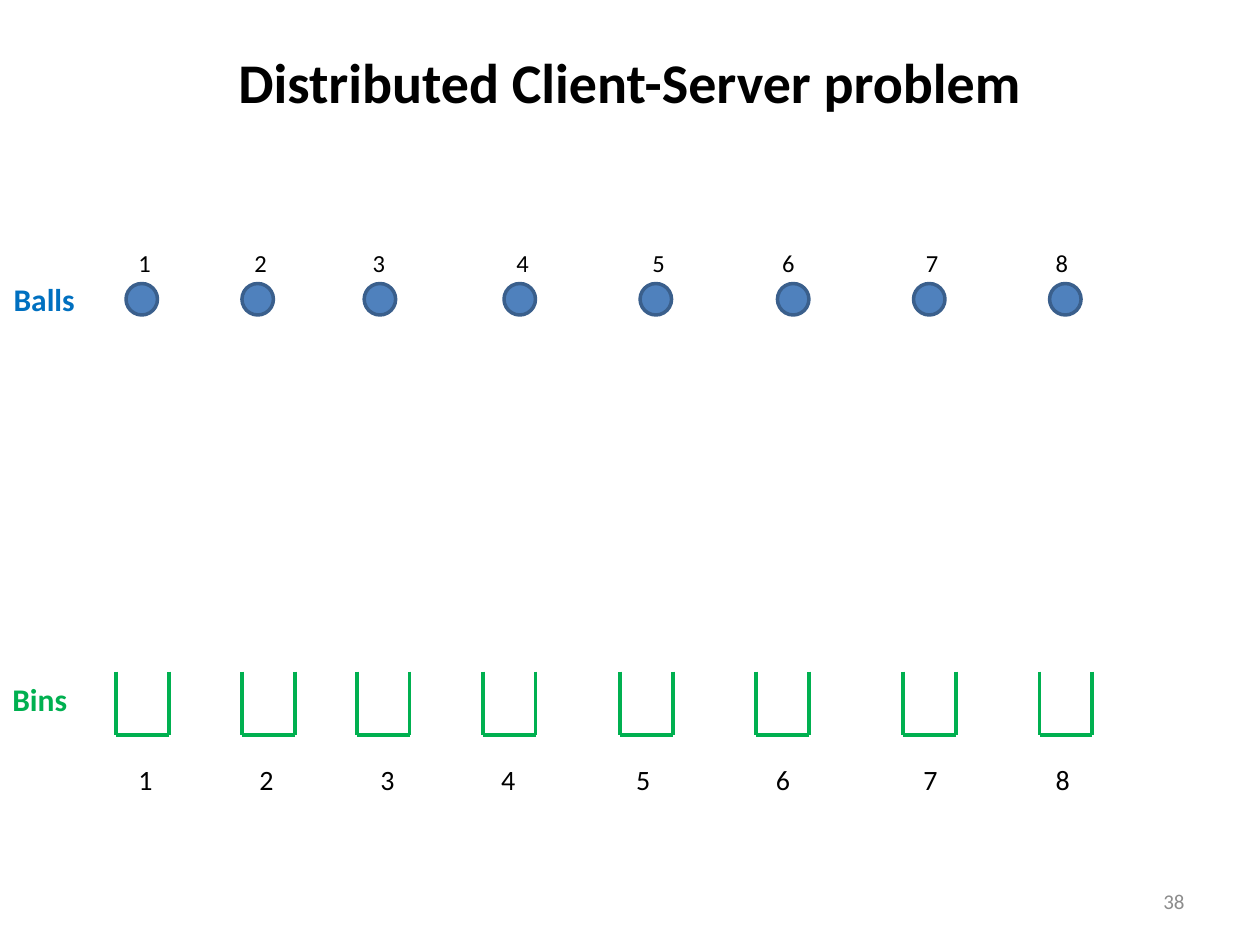
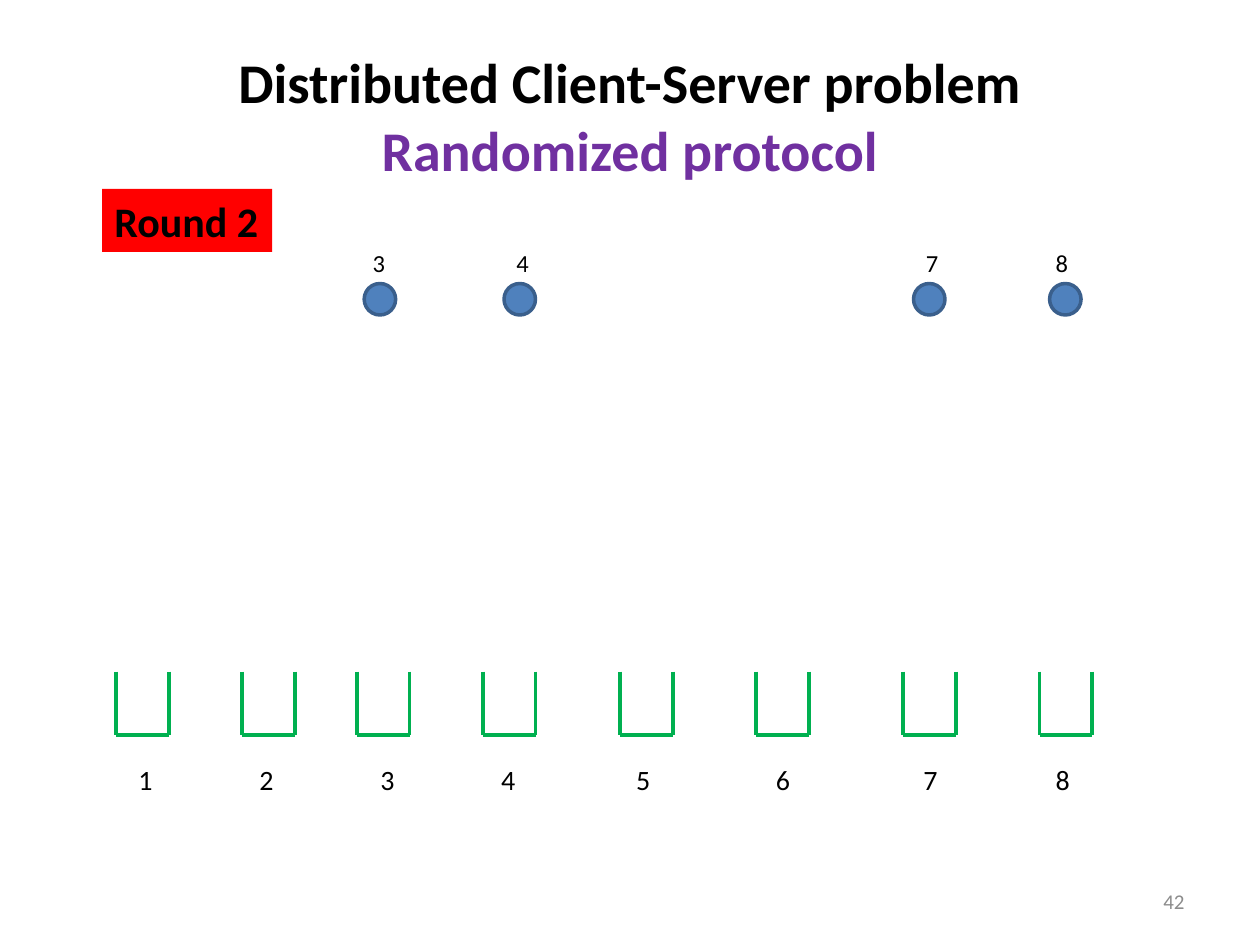
from lxml import etree
from pptx import Presentation
from pptx.dml.color import RGBColor
from pptx.enum.shapes import MSO_CONNECTOR, MSO_SHAPE
from pptx.enum.text import MSO_ANCHOR, PP_ALIGN
from pptx.oxml.ns import qn
from pptx.util import Inches, Pt

LEFT, CENTER, RIGHT = PP_ALIGN.LEFT, PP_ALIGN.CENTER, PP_ALIGN.RIGHT
TOP, MIDDLE = MSO_ANCHOR.TOP, MSO_ANCHOR.MIDDLE
ELLIPSE, RECTANGLE = MSO_SHAPE.OVAL, MSO_SHAPE.RECTANGLE
STRAIGHT = MSO_CONNECTOR.STRAIGHT

FONT = "Calibri"
BLACK, GRAY, RED, PURPLE = "000000", "8C8C8C", "FF0000", "7030A0"
BALL_FILL, BALL_LINE, BALL_TEXT = "4F81BD", "3A5F8C", "0070C0"
BIN_GREEN = "00B050"

BALL_TOP, BALL_SIZE, BALL_LABEL_TOP = 2.25, 0.25, 1.92
BALLS = {1: (1, 1), 2: (1.92, 1.92), 3: (2.89, 2.86), 4: (4, 4),
         5: (5.08, 5.08), 6: (6.17, 6.11), 7: (7.25, 7.25), 8: (8.33, 8.28)}
BIN_TOP, BIN_WIDTH, BIN_HEIGHT = 5.33, 0.42, 0.5
BIN_LEFTS = (0.92, 1.92, 2.83, 3.83, 4.92, 6, 7.17, 8.25)
BIN_TABS = (0.96, 1.92, 2.88, 3.95, 5.06, 6.23, 7.28)


def color(value):
    return RGBColor.from_string(value)


class BallsAndBinsDeck:
    """Draws balls-and-bins pages in one shared style."""

    def __init__(self):
        self.deck = Presentation()
        self.deck.slide_width = Inches(10)
        self.deck.slide_height = Inches(7.5)
        self.page = None
        self.canvas = None

    def add_page(self, number, subtitle=None):
        self.page = self.deck.slides.add_slide(self.deck.slide_layouts[6])
        self.canvas = self.page.shapes
        title = [("Distributed Client-Server problem", BLACK)]
        if subtitle:
            title.append((subtitle, PURPLE))
        frame = self.text(0.5, 0.3, 9, 1.25, title, 32, bold=True,
                          align=CENTER, wrap=True)
        frame.margin_top = Inches(0.08)
        self.text(7.17, 6.95, 2.33, 0.4, [(number, GRAY)], 12,
                  align=RIGHT, anchor=MIDDLE, wrap=True)

    def start_group(self):
        self.canvas = self.page.shapes.add_group_shape().shapes

    def end_group(self):
        self.canvas = self.page.shapes

    def text(self, left, top, width, height, lines, size, **style):
        box = self.canvas.add_textbox(Inches(left), Inches(top),
                                      Inches(width), Inches(height))
        return self.fill_text(box, lines, size, **style)

    def fill_text(self, box, lines, size, bold=False, align=LEFT, anchor=TOP,
                  wrap=False, tabs=()):
        frame = box.text_frame
        frame.word_wrap = wrap
        frame.vertical_anchor = anchor
        para = frame.paragraphs[0]
        para.alignment = align
        if tabs:
            tab_list = etree.SubElement(para._p.get_or_add_pPr(), qn("a:tabLst"))
            for stop in tabs:
                etree.SubElement(tab_list, qn("a:tab"), pos=str(Inches(stop)), algn="l")
        for index, (words, shade) in enumerate(lines):
            if index:
                para.add_line_break()
            span = para.add_run()
            span.text = words
            span.font.name = FONT
            span.font.size = Pt(size)
            span.font.bold = bold
            span.font.color.rgb = color(shade)
        return frame

    def shape(self, kind, left, top, width, height, fill, outline=None):
        shape = self.canvas.add_shape(kind, Inches(left), Inches(top),
                                      Inches(width), Inches(height))
        shape.shadow.inherit = False
        shape.fill.solid()
        shape.fill.fore_color.rgb = color(fill)
        if outline:
            shape.line.color.rgb = color(outline)
            shape.line.width = Pt(2)
        else:
            shape.line.fill.background()
        return shape

    def line(self, start, end):
        points = [Inches(value) for value in (*start, *end)]
        line = self.canvas.add_connector(STRAIGHT, *points)
        line.line.color.rgb = color(BIN_GREEN)
        line.line.width = Pt(2.25)
        etree.SubElement(line._element.spPr, qn("a:effectLst"))

    def balls(self, numbers):
        for number in numbers:
            ball_left, label_left = BALLS[number]
            self.start_group()
            self.shape(ELLIPSE, ball_left, BALL_TOP, BALL_SIZE, BALL_SIZE,
                       BALL_FILL, BALL_LINE)
            self.text(label_left, BALL_LABEL_TOP, 0.3, 0.34,
                      [(str(number), BLACK)], 14)
            self.end_group()

    def bins(self):
        self.start_group()
        bottom = BIN_TOP + BIN_HEIGHT
        for left in BIN_LEFTS:
            right = left + BIN_WIDTH
            self.line((left, BIN_TOP), (left, bottom))
            self.line((right, BIN_TOP), (right, bottom))
            self.line((left, bottom), (right, bottom))
        numbers = "\t".join(str(number) for number in BALLS)
        self.text(1, 6, 7.67, 0.37, [(numbers, BLACK)], 16,
                  wrap=True, tabs=BIN_TABS)
        self.end_group()

    def round_tag(self, words):
        tag = self.shape(RECTANGLE, 0.81, 1.5, 1.35, 0.5, RED)
        self.fill_text(tag, [(words, BLACK)], 24, bold=True)


def main():
    show = BallsAndBinsDeck()

    show.add_page("38")
    show.balls(BALLS)
    show.bins()
    show.text(0, 5.35, 0.64, 0.4, [("Bins", BIN_GREEN)], 18, bold=True)
    show.text(0.01, 2.17, 0.69, 0.4, [("Balls", BALL_TEXT)], 18, bold=True)

    show.add_page("42", "Randomized protocol")
    show.balls((3, 4, 7, 8))
    show.bins()
    show.round_tag("Round 2")

    show.deck.save("out.pptx")


if __name__ == "__main__":
    main()
